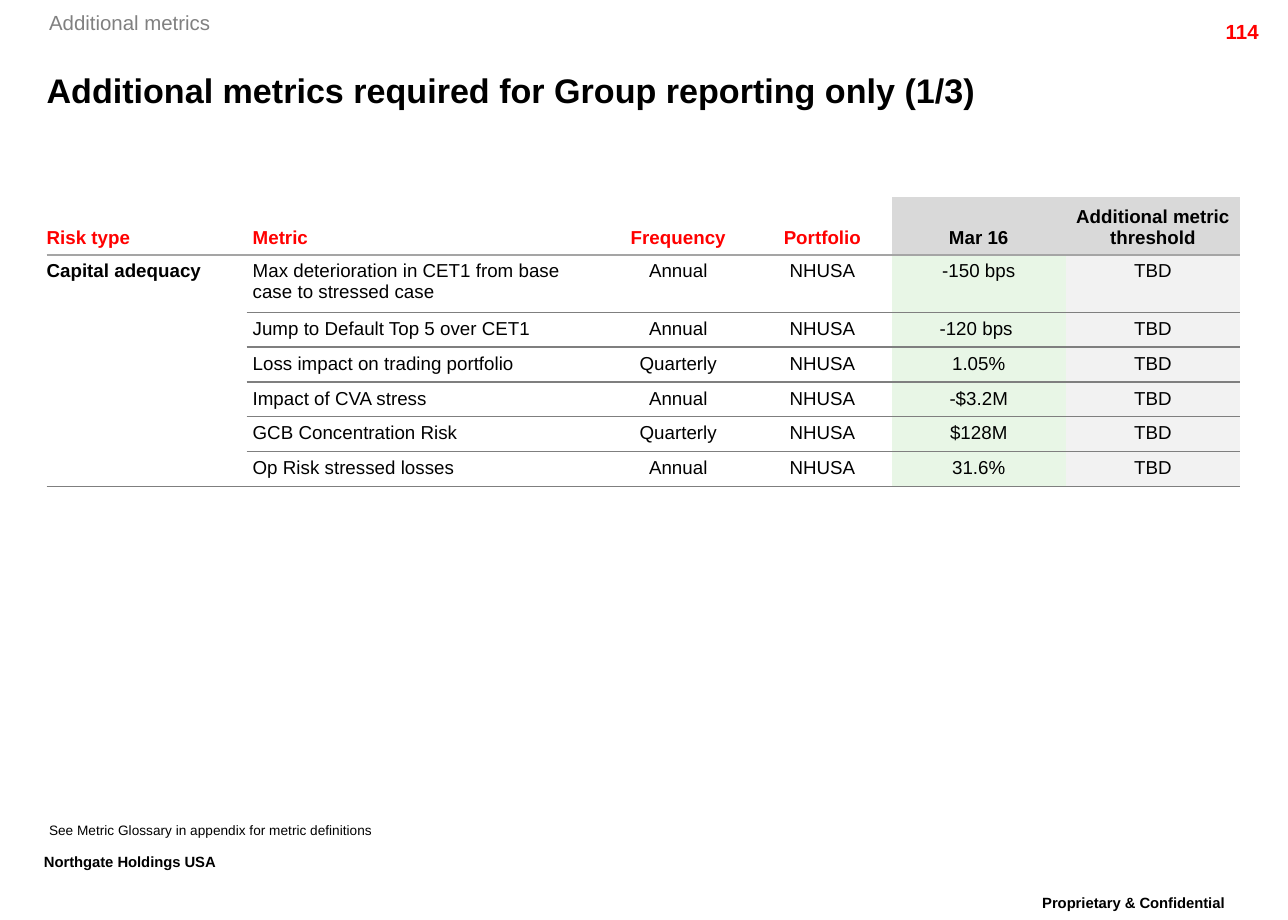
from lxml.etree import SubElement
from pptx import Presentation
from pptx.dml.color import RGBColor
from pptx.enum.text import MSO_ANCHOR, PP_ALIGN
from pptx.oxml.ns import qn
from pptx.util import Inches, Pt

COLORS = {
    "black": "000000", "red": "FF0000", "label": "808080",
    "head_rule": "A5A5A5", "rule": "7F7F7F",
    "head_fill": "D9D9D9", "value_fill": "E8F6E6", "limit_fill": "F2F2F2",
}
COL_WIDTHS = [1.63, 2.91, 1.22, 1.13, 1.42, 1.42]
TALL_ROW, ROW = 0.465, 0.285
HEADERS = ["Risk type", "Metric", "Frequency", "Portfolio", "Mar 16",
           "Additional metric threshold"]
RISK_TYPE = "Capital adequacy"
METRICS = [
    ("Max deterioration in CET1 from base case to stressed case", "Annual", "-150 bps"),
    ("Jump to Default Top 5 over CET1", "Annual", "-120 bps "),
    ("Loss impact on trading portfolio", "Quarterly", "1.05%"),
    ("Impact of CVA stress", "Annual", "-$3.2M"),
    ("GCB Concentration Risk", "Quarterly", "$128M"),
    ("Op Risk stressed losses", "Annual", "31.6%"),
]
PORTFOLIO, THRESHOLD = "NHUSA", "TBD"


def rgb(name):
    return RGBColor.from_string(COLORS[name])


def write(tf, text, size=11, color="black", bold=False, align=PP_ALIGN.LEFT,
          spacing=None, raised=False):
    p = tf.paragraphs[0]
    p.alignment = align
    if spacing:
        p.line_spacing = spacing
    r = p.add_run()
    r.text = text
    r.font.name = "Arial"
    r.font.size = Pt(size)
    r.font.bold = bold
    r.font.color.rgb = rgb(color)
    if raised:
        r._r.get_or_add_rPr().set("baseline", "30000")


def add_text(slide, text, box, inset=(0, 0), wrap=True, anchor=MSO_ANCHOR.TOP, **fmt):
    tf = slide.shapes.add_textbox(*map(Inches, box)).text_frame
    tf.word_wrap = wrap
    tf.vertical_anchor = anchor
    tf.margin_left = tf.margin_right = Inches(inset[0])
    tf.margin_top = tf.margin_bottom = Inches(inset[1])
    write(tf, text, **fmt)


def set_borders(cell, top=None, bottom=None):
    """Draw the given (colour, points) rules and clear the other sides."""
    tcPr = cell._tc.get_or_add_tcPr()
    for side, rule in (("L", None), ("R", None), ("T", top), ("B", bottom)):
        ln = SubElement(tcPr, qn(f"a:ln{side}"))
        if rule:
            color, width = rule
            ln.set("w", str(Pt(width)))
            fill = SubElement(ln, qn("a:solidFill"))
            SubElement(fill, qn("a:srgbClr")).set("val", COLORS[color])
        else:
            SubElement(ln, qn("a:noFill"))


def style_cell(cell, text, fill=None, top=None, bottom=None, left=0.05,
               anchor=MSO_ANCHOR.TOP, **fmt):
    set_borders(cell, top, bottom)
    if fill:
        cell.fill.solid()
        cell.fill.fore_color.rgb = rgb(fill)
    else:
        cell.fill.background()
    cell.margin_left = Inches(left)
    cell.margin_right = cell.margin_top = cell.margin_bottom = Inches(0.05)
    cell.vertical_anchor = anchor
    if text:
        write(cell.text_frame, text, **fmt)


def add_metrics_table(slide, left, top):
    heights = [TALL_ROW] * 2 + [ROW] * (len(METRICS) - 1)
    table = slide.shapes.add_table(
        len(heights), len(COL_WIDTHS), Inches(left), Inches(top),
        Inches(sum(COL_WIDTHS)), Inches(sum(heights))).table
    table.first_row = table.horz_banding = False
    for col, width in zip(table.columns, COL_WIDTHS):
        col.width = Inches(width)
    for row, height in zip(table.rows, heights):
        row.height = Inches(height)

    head_rule, rule = ("head_rule", 1), ("rule", 0.75)
    aligns = [PP_ALIGN.LEFT] * 2 + [PP_ALIGN.CENTER] * 4
    fills = [None] * 4 + ["value_fill", "limit_fill"]
    lefts = [0] + [0.05] * 5

    for c, text in enumerate(HEADERS):
        shaded = fills[c] is not None
        style_cell(table.cell(0, c), text, fill="head_fill" if shaded else None,
                   bottom=head_rule, left=lefts[c], anchor=MSO_ANCHOR.BOTTOM,
                   color="black" if shaded else "red", bold=True, align=aligns[c])

    last = len(METRICS)
    table.cell(1, 0).merge(table.cell(last, 0))
    for n, (metric, frequency, value) in enumerate(METRICS, 1):
        above = head_rule if n == 1 else rule
        style_cell(table.cell(n, 0), RISK_TYPE if n == 1 else "", left=0, bold=True,
                   top=head_rule if n == 1 else None,
                   bottom=rule if n in (1, last) else None)
        texts = [metric, frequency, PORTFOLIO, value, THRESHOLD]
        for c, text in enumerate(texts, 1):
            style_cell(table.cell(n, c), text, fill=fills[c], top=above, bottom=rule,
                       left=lefts[c], align=aligns[c])


def add_header(slide):
    add_text(slide, "Additional metrics", (0.4, 0.08, 1.32, 0.2), wrap=False,
             size=12, color="label")
    add_text(slide, "114", (9.36, 0.11, 1, 0.24), inset=(0.1, 0.05), size=12,
             color="red", bold=True, align=PP_ALIGN.RIGHT)
    add_text(slide, "Additional metrics required for Group reporting only (1/3)",
             (0.38, 0.49, 9.48, 0.48), anchor=MSO_ANCHOR.MIDDLE, size=20, bold=True)


def add_footer(slide):
    add_text(slide, "See Metric Glossary in appendix for metric definitions",
             (0.4, 6.72, 5.47, 0.12), size=8, spacing=0.86)
    mark = dict(inset=(0.1, 0.05), size=15, bold=True, spacing=0.86, raised=True)
    add_text(slide, "Northgate Holdings USA", (0.26, 6.91, 1.91, 0.35), wrap=False, **mark)
    add_text(slide, "Proprietary & Confidential", (8.15, 7.25, 2.18, 0.35),
             align=PP_ALIGN.CENTER, **mark)


def main():
    prs = Presentation()
    prs.slide_width, prs.slide_height = Inches(10.5), Inches(7.5)
    slide = prs.slides.add_slide(prs.slide_layouts[6])
    add_header(slide)
    add_metrics_table(slide, 0.38, 1.61)
    add_footer(slide)
    prs.save("out.pptx")


if __name__ == "__main__":
    main()
